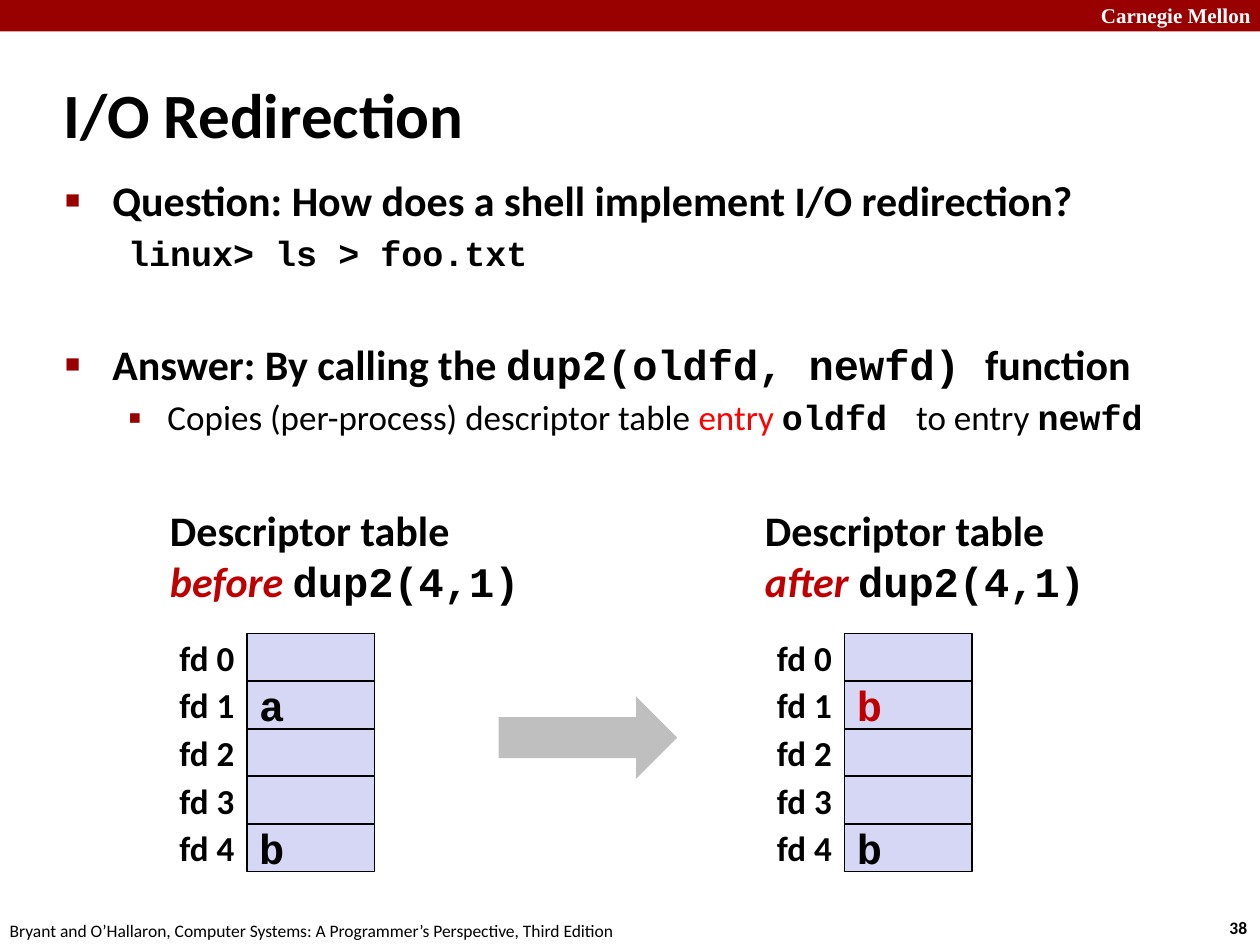
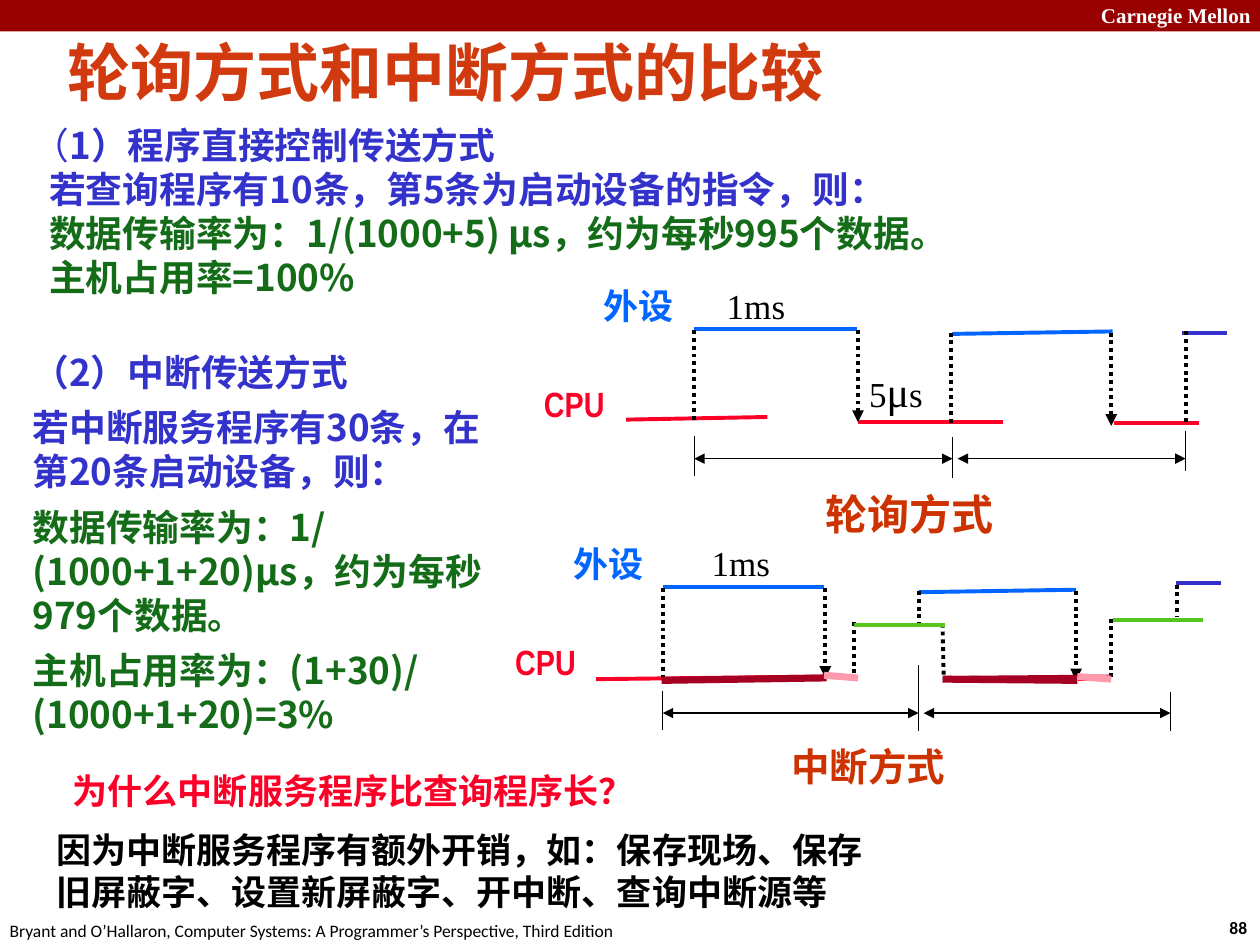
"""Build two lecture pages: I/O redirection, and polling against interrupts."""
from dataclasses import dataclass

from lxml.etree import SubElement
from pptx import Presentation
from pptx.dml.color import RGBColor
from pptx.enum.dml import MSO_LINE as Dash
from pptx.enum.shapes import MSO_CONNECTOR as Link, MSO_SHAPE as Shape
from pptx.enum.text import MSO_ANCHOR as Anchor, MSO_AUTO_SIZE as Fit, PP_ALIGN as Align
from pptx.oxml.ns import qn
from pptx.util import Pt


@dataclass(frozen=True)
class Theme:
    black: str = "000000"
    white: str = "FFFFFF"
    band: str = "990000"
    accent: str = "C00000"
    red: str = "FF0000"
    cell: str = "D6D6F5"
    arrow: str = "BFBFBF"
    heading: str = "D1390F"
    caption: str = "CC3300"
    setup: str = "3333CC"
    result: str = "146C18"
    device: str = "0066FF"
    cpu: str = "FC0128"
    service: str = "56C61E"
    program: str = "A50021"
    switch: str = "FE9AAB"
    sans: str = "Calibri"
    mono: str = "Courier New"
    serif: str = "Times New Roman"
    narrow: str = "Arial Narrow"
    chinese: str = "Noto Sans CJK SC"
    title: int = 36
    large: int = 24
    medium: int = 22
    reading: int = 21
    normal: int = 20
    brand: int = 12
    small: int = 10
    leading: float = 1.2


THEME = Theme()
BRAND = "Carnegie Mellon"
FOOTER = "Bryant and O’Hallaron, Computer Systems: A Programmer’s Perspective, Third Edition"

CODE = dict(font=THEME.mono, bold=True)
TOP_ITEM = dict(size=THEME.large, bold=True, left=27, hang=27, bullet=("■", 60))
SUB_ITEM = dict(size=THEME.normal, left=58.5, hang=22.5, before=4)
REDIRECTION = [
    ("Question: How does a shell implement I/O redirection?", TOP_ITEM),
    ("linux> ls > foo.txt", {**SUB_ITEM, **CODE}),
    ([("Answer: By calling the ", {}), ("dup2(oldfd, newfd) ", CODE), ("function", {})],
     {**TOP_ITEM, "before": 37}),
    ([("Copies (per-process) descriptor table ", {}), ("entry ", dict(color=THEME.red)),
      ("oldfd ", CODE), (" to entry ", {}), ("newfd", CODE)],
     {**SUB_ITEM, "bullet": ("▪", 110)}),
]
DESCRIPTORS = 5
TABLES = [
    dict(cells=141, caption=90, moment="before ", call="dup2(4,1)",
         entries={1: ("a", THEME.black), 4: ("b", THEME.black)}),
    dict(cells=482.5, caption=430, moment="after ", call="dup2(4,1)",
         entries={1: ("b", THEME.accent), 4: ("b", THEME.black)}),
]

INSET = 9.4
POLLING_NOTES = [
    ([("（", dict(bold=False)), ("1）程序直接控制传送方式", {})], dict(color=THEME.setup)),
    ("若查询程序有10条，第5条为启动设备的指令，则：", dict(color=THEME.setup, left=INSET)),
    ("数据传输率为：1/(1000+5) μs，约为每秒995个数据。", dict(color=THEME.result, left=INSET)),
    ("主机占用率=100%", dict(color=THEME.result, left=INSET)),
]
INTERRUPT_NOTES = [
    ("（2）中断传送方式", dict(color=THEME.setup)),
    ("若中断服务程序有30条，在第20条启动设备，则：", dict(color=THEME.setup, before=6.3)),
    ("数据传输率为：1/(1000+1+20)μs，约为每秒979个数据。", dict(color=THEME.result, before=6.3)),
    ("主机占用率为：(1+30)/(1000+1+20)=3%", dict(color=THEME.result, before=6.3)),
]
QUESTION = "为什么中断服务程序比查询程序长？"
REASON = "因为中断服务程序有额外开销，如：保存现场、保存旧屏蔽字、设置新屏蔽字、开中断、查询中断源等"

DEVICE_LABEL = dict(color=THEME.device, font=THEME.serif, bold=True)
CPU_LABEL = dict(color=THEME.cpu, font=THEME.narrow, bold=True)
TIME_LABEL = dict(font=THEME.serif)
CAPTION = dict(color=THEME.caption, font=THEME.serif, bold=True)
LABELS = [
    ("外设", (337.7, 159.1, 86, 31), DEVICE_LABEL),
    ("CPU", (303.8, 215.3, 94, 31), CPU_LABEL),
    ("1ms", (408.2, 159.1, 79, 31), TIME_LABEL),
    ([("5", {}), ("μ", dict(size=THEME.large)), ("s", {})], (489.6, 205.2, 79, 36), TIME_LABEL),
    ("轮询方式", (464.4, 275.8, 161, 36), {**CAPTION, "size": THEME.large}),
    ("外设", (320.4, 306.7, 84, 31), DEVICE_LABEL),
    ("CPU", (287.3, 362.2, 93, 31), CPU_LABEL),
    ("1ms", (399.6, 306, 78, 31), TIME_LABEL),
    ("中断方式", (445, 421.2, 104, 34), {**CAPTION, "size": THEME.medium}),
]

STROKES = {
    "cpu": dict(color=THEME.cpu, width=2.25),
    "device": dict(color=THEME.device, width=2.25),
    "next": dict(color=THEME.setup, width=2.25),
    "service": dict(color=THEME.service, width=2.25),
    "edge": dict(color=THEME.black, width=2.25, dash=Dash.ROUND_DOT),
    "fall": dict(color=THEME.black, width=2.25, dash=Dash.ROUND_DOT, ends=["tailEnd"]),
    "tick": dict(color=THEME.black, width=0.75),
    "period": dict(color=THEME.black, width=0.75, ends=["headEnd", "tailEnd"]),
    "resume": dict(color=THEME.program, width=2.25),
    "program": dict(color=THEME.program, width=4),
    "switch": dict(color=THEME.switch, width=4),
}
POLLING_TIMING = {
    "cpu": [(357.8, 239.8, 438.5, 238.3), (490.3, 241.2, 573.1, 241.2),
            (636.5, 241.9, 685.4, 241.9)],
    "device": [(396.7, 187.9, 489.6, 187.9), (544.3, 190.8, 635.8, 189.4)],
    "next": [(675.4, 190.1, 701.3, 190.1)],
    "edge": [(396.7, 188.6, 396.7, 240.5), (543.6, 190.1, 543.6, 242.6),
             (677.5, 189.4, 677.5, 241.2)],
    "fall": [(490.3, 188.6, 490.3, 241.2), (635, 190.1, 635, 243.4)],
    "tick": [(396.7, 249.1, 396.7, 272.2), (544.3, 249.8, 544.3, 272.9),
             (677.5, 246.2, 677.5, 269.3)],
    "period": [(396.7, 262.1, 544.3, 262.1), (547.2, 262.1, 677.5, 262.1)],
}
INTERRUPT_TIMING = {
    "cpu": [(340.6, 388.1, 472.3, 386.6), (471.6, 386.6, 490.3, 387.4),
            (616.3, 388.1, 635, 388.1)],
    "device": [(378.7, 335.5, 470.9, 335.5), (524.9, 338.4, 614.9, 337)],
    "next": [(671.8, 333.4, 697.7, 333.4)],
    "edge": [(378.7, 336.2, 378.7, 386.6), (488.2, 355.7, 488.2, 388.1),
             (524.9, 337.7, 524.9, 355.7), (538.6, 356.4, 539.3, 388.1),
             (635, 353.5, 635, 387.4), (672.5, 334.1, 672.5, 352.1)],
    "fall": [(471.6, 336.2, 471.6, 387.4), (614.9, 337.7, 614.9, 388.8)],
    "tick": [(378.7, 394.6, 378.7, 416.9), (524.9, 380.2, 524.9, 417.6),
             (668.9, 395.3, 668.9, 417.6)],
    "period": [(378.7, 407.5, 524.9, 407.5), (527.8, 407.5, 668.9, 407.5)],
    "service": [(488.2, 357.1, 540, 357.1), (635.8, 354.2, 687.6, 354.2)],
    "resume": [(539.3, 387.4, 633.6, 386.6)],
    "program": [(378, 388.8, 472.3, 387.4), (538.6, 388.1, 615.6, 388.8)],
    "switch": [(470.9, 385.9, 490.3, 387.4), (615.6, 386.6, 635, 388.1)],
}


def rgb(color):
    return RGBColor.from_string(color)


def format_span(span, size, font, color, bold, italic):
    style = span.font
    style.size, style.name, style.bold, style.italic = Pt(size), font, bold, italic
    style.color.rgb = rgb(color)
    SubElement(span._r.get_or_add_rPr(), qn("a:ea"), typeface=THEME.chinese)


def write(frame, text, size=THEME.normal, font=THEME.sans, color=THEME.black, bold=False,
          italic=False, align=Align.LEFT, before=0, left=0, hang=0, bullet=None):
    para = frame.paragraphs[0]
    if para.runs:
        para = frame.add_paragraph()
    spans = [(text, {})] if isinstance(text, str) else text
    settings = para._p.get_or_add_pPr()
    settings.set("marL", str(Pt(left)))
    settings.set("indent", str(-Pt(hang)))
    if bullet:
        symbol, percent = bullet
        tint = SubElement(settings, qn("a:buClr"))
        SubElement(tint, qn("a:srgbClr"), val=THEME.band)
        SubElement(settings, qn("a:buSzPct"), val=str(percent * 1000))
        SubElement(settings, qn("a:buChar"), char=symbol)
    else:
        SubElement(settings, qn("a:buNone"))
    para.alignment, para.space_before = align, Pt(before)
    if any(letter > "⺀" for words, _ in spans for letter in words):
        para.line_spacing = Pt(round(size * THEME.leading, 1))
    base = dict(size=size, font=font, color=color, bold=bold, italic=italic)
    for words, changes in spans:
        span = para.add_run()
        span.text = words
        format_span(span, **{**base, **changes})


def set_frame(frame, anchor=Anchor.TOP, margins=(7.2, 3.6)):
    frame.word_wrap, frame.auto_size, frame.vertical_anchor = True, Fit.NONE, anchor
    frame.margin_left = frame.margin_right = Pt(margins[0])
    frame.margin_top = frame.margin_bottom = Pt(margins[1])
    return frame


def add_box(page, place, **frame_format):
    box = page.shapes.add_textbox(*map(Pt, place))
    return set_frame(box.text_frame, **frame_format)


def add_block(page, kind, place, fill, line=None):
    block = page.shapes.add_shape(kind, *map(Pt, place))
    block.shadow.inherit = False
    block.fill.solid()
    block.fill.fore_color.rgb = rgb(fill)
    if line:
        block.line.color.rgb, block.line.width = rgb(line), Pt(1)
    else:
        block.line.fill.background()
    return block


def place_holder(holder, place, **frame_format):
    holder.left, holder.top, holder.width, holder.height = map(Pt, place)
    return set_frame(holder.text_frame, **frame_format)


def add_stroke(page, ends_at, color, width, dash=None, ends=()):
    stroke = page.shapes.add_connector(Link.STRAIGHT, *map(Pt, ends_at))
    stroke.line.color.rgb, stroke.line.width = rgb(color), Pt(width)
    if dash:
        stroke.line.dash_style = dash
    outline = stroke._element.spPr.find(qn("a:ln"))
    for end in ends:
        SubElement(outline, qn(f"a:{end}"), type="triangle")
    SubElement(stroke._element.spPr, qn("a:effectLst"))


def start_page(deck, layout, number, title, place, color):
    page = deck.slides.add_slide(deck.slide_layouts[layout])
    add_block(page, Shape.RECTANGLE, (0, 0, 720, 18), THEME.band)
    write(add_box(page, (622, -2, 106, 22)), BRAND, size=THEME.brand, font=THEME.serif,
          color=THEME.white, bold=True)
    write(add_box(page, (695.5, 520.5, 28, 19.5)), str(number), size=THEME.small, bold=True)
    write(add_box(page, (-1.5, 522, 380, 19.5)), FOOTER, size=THEME.small)
    frame = place_holder(page.shapes.title, place, anchor=Anchor.MIDDLE)
    write(frame, title, size=THEME.title, color=color, bold=True)
    return page


def add_descriptor_table(page, cells, caption, moment, call, entries):
    top, width, height = 362, 73, 27.2
    heading = add_box(page, (caption, 284.5, 217, 65.5), anchor=Anchor.MIDDLE)
    write(heading, "Descriptor table", size=THEME.large, bold=True)
    write(heading, [(moment, dict(color=THEME.accent, italic=True)), (call, CODE)],
          size=THEME.large, bold=True)
    for row in range(DESCRIPTORS):
        place = (cells, top + row * height, width, height)
        cell = add_block(page, Shape.RECTANGLE, place, THEME.cell, THEME.black)
        if row in entries:
            entry, color = entries[row]
            frame = set_frame(cell.text_frame, anchor=Anchor.MIDDLE, margins=(7.2, 0))
            write(frame, entry, size=THEME.large, color=color, **CODE)
        label = add_box(page, (cells - width, *place[1:]), anchor=Anchor.MIDDLE, margins=(7.2, 0))
        write(label, f"fd {row}", bold=True, align=Align.RIGHT)


def build_redirection(deck):
    page = start_page(deck, 1, 38, "I/O Redirection", (29, 34.5, 598, 60), THEME.black)
    body = place_holder(page.placeholders[1], (30, 96, 654, 150))
    for text, look in REDIRECTION:
        write(body, text, **look)
    for table in TABLES:
        add_descriptor_table(page, **table)
    add_block(page, Shape.RIGHT_ARROW, (285, 398, 102, 47), THEME.arrow)


def build_comparison(deck):
    page = start_page(deck, 5, 88, "轮询方式和中断方式的比较", (31.5, 15, 669, 51), THEME.heading)
    note_boxes = [
        (add_box(page, (13.7, 67.7, 616, 130), margins=(5, 2.2)), POLLING_NOTES),
        (add_box(page, (11.5, 196.5, 289, 232)), INTERRUPT_NOTES),
    ]
    for frame, notes in note_boxes:
        for text, look in notes:
            write(frame, text, size=THEME.reading, font=THEME.chinese, bold=True, **look)
    for timing in (POLLING_TIMING, INTERRUPT_TIMING):
        for style, strokes in timing.items():
            for ends_at in strokes:
                add_stroke(page, ends_at, **STROKES[style])
    for text, place, look in LABELS:
        write(add_box(page, place), text, **look)
    write(add_box(page, (34.5, 436.3, 345, 31)), QUESTION, **CPU_LABEL)
    reason = add_block(page, Shape.RECTANGLE, (25, 470, 490, 55.5), THEME.white)
    write(set_frame(reason.text_frame), REASON, font=THEME.narrow, bold=True)


def main():
    deck = Presentation()
    deck.slide_width, deck.slide_height = Pt(720), Pt(540)
    build_redirection(deck)
    build_comparison(deck)
    deck.save("out.pptx")


if __name__ == "__main__":
    main()
